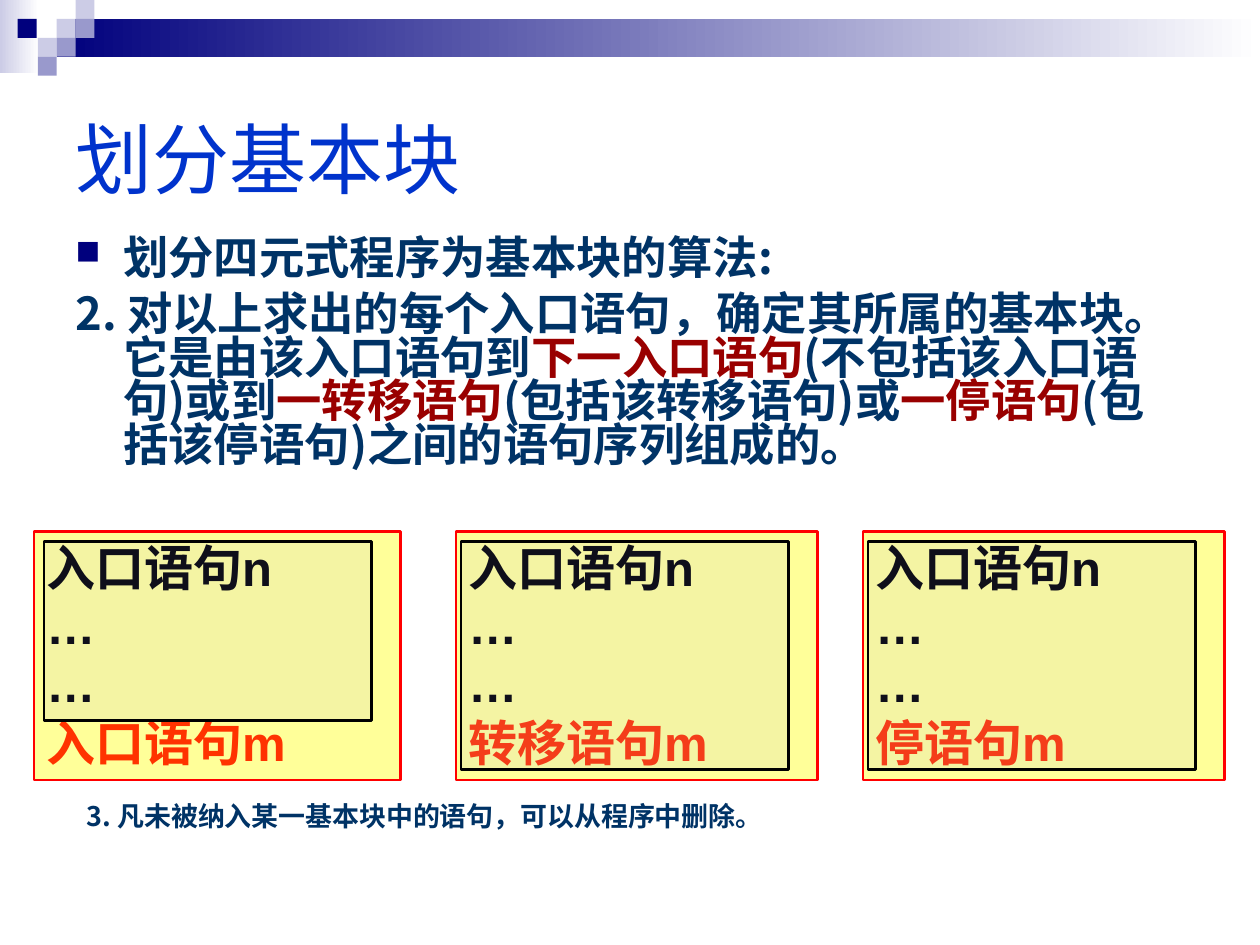
from dataclasses import dataclass

from lxml import etree
from pptx import Presentation, util as u
from pptx.dml.color import RGBColor
from pptx.enum import shapes, text
from pptx.oxml.ns import qn


@dataclass(frozen=True)
class Theme:
    navy: str = "00007D"
    lilac: str = "CCCCE6"
    violet: str = "9999CC"
    white: str = "FFFFFF"
    title: str = "0033CC"
    body: str = "003366"
    key: str = "990000"
    black: str = "000000"
    exit: str = "FF3300"
    panel: str = "FFFF99"
    panel_line: str = "FF0000"
    block: str = "9999FF"
    latin: str = "Arial"
    cjk: str = "Noto Sans CJK SC"
    title_size: float = 44
    body_size: float = 25.9
    code_size: float = 28
    note_size: float = 15.4
    line_ratio: float = 0.96
    code_ratio: float = 1.19


@dataclass(frozen=True)
class Box:
    left: float
    top: float
    width: float
    height: float

    def lengths(self):
        return [u.Inches(v) for v in (self.left, self.top, self.width, self.height)]


@dataclass(frozen=True)
class Panel:
    left: float
    width: float
    block_left: float
    block_height: float
    last_line: str


THEME = Theme()


def color(value: str) -> RGBColor:
    return RGBColor.from_string(value)


def add_rectangle(slide, box: Box, fill: str, line: str = "", fade: str = "", alpha: int = 100):
    shape = slide.shapes.add_shape(shapes.MSO_SHAPE.RECTANGLE, *box.lengths())
    shape.shadow.inherit = False
    if fade:
        shape.fill.gradient()
        shape.fill.gradient_angle = 0
        for stop, value in zip(shape.fill.gradient_stops, (fill, fade)):
            stop.color.rgb = color(value)
    else:
        shape.fill.solid()
        shape.fill.fore_color.rgb = color(fill)
    if alpha < 100:
        rgb = shape.fill._xPr.find(qn("a:solidFill"))[0]
        etree.SubElement(rgb, qn("a:alpha")).set("val", str(alpha * 1000))
    if line:
        shape.line.color.rgb = color(line)
        shape.line.width = u.Pt(1.5)
    else:
        shape.line.fill.background()
    return shape


def add_text_box(slide, box: Box, anchor=text.MSO_ANCHOR.TOP):
    frame = slide.shapes.add_textbox(*box.lengths()).text_frame
    frame.word_wrap = True
    frame.vertical_anchor = anchor
    return frame


def add_run(paragraph, words: str, value: str, size: float, font: str, bold: bool = True) -> None:
    run = paragraph.add_run()
    run.text = words
    run.font.size = u.Pt(size)
    run.font.bold = bold
    run.font.name = font
    run.font.color.rgb = color(value)
    east_asian = etree.SubElement(run._r.get_or_add_rPr(), qn("a:ea"))
    east_asian.set("typeface", THEME.cjk)


def format_item(paragraph, size: float, bullet: bool = False) -> None:
    """Give a list item its hanging indent, line height and square bullet."""
    paragraph.line_spacing = u.Pt(round(size * THEME.line_ratio, 1))
    properties = paragraph._p.get_or_add_pPr()
    properties.set("marL", str(u.Inches(0.38)))
    properties.set("indent", str(-u.Inches(0.38)))
    if bullet:
        tint = etree.SubElement(properties, qn("a:buClr"))
        etree.SubElement(tint, qn("a:srgbClr")).set("val", THEME.navy)
        etree.SubElement(properties, qn("a:buSzPct")).set("val", "75000")
        etree.SubElement(properties, qn("a:buChar")).set("char", "■")
    else:
        etree.SubElement(properties, qn("a:buNone"))


def add_panel(slide, panel: Panel) -> None:
    """Draw a statement panel and the outline of its basic block."""
    outer = Box(panel.left, 4.22, panel.width, 1.97)
    shape = add_rectangle(slide, outer, THEME.panel, THEME.panel_line)
    frame = shape.text_frame
    frame.word_wrap = True
    frame.vertical_anchor = text.MSO_ANCHOR.TOP
    lines = ["入口语句n", "…", "…", panel.last_line]
    for index, words in enumerate(lines):
        paragraph = frame.add_paragraph() if index else frame.paragraphs[0]
        paragraph.alignment = text.PP_ALIGN.LEFT
        paragraph.line_spacing = u.Pt(round(THEME.code_size * THEME.code_ratio, 1))
        value = THEME.exit if index == len(lines) - 1 else THEME.black
        add_run(paragraph, words, value, THEME.code_size, THEME.latin)
    block = Box(panel.block_left, 4.3, 2.6, panel.block_height)
    add_rectangle(slide, block, THEME.block, THEME.black, alpha=10)


def add_header(slide) -> None:
    add_rectangle(slide, Box(0, 0, 0.31, 0.58), THEME.lilac, fade=THEME.white)
    add_rectangle(slide, Box(0.45, 0.15, 9.55, 0.3), THEME.navy, fade=THEME.white)
    side = 0.15
    tiles = [
        (0.45, 0.15, THEME.lilac), (0.6, 0, THEME.lilac), (0.6, 0.15, THEME.violet),
        (0.3, 0.3, THEME.lilac), (0.14, 0.15, THEME.navy),
        (0.45, 0.3, THEME.violet), (0.3, 0.45, THEME.violet),
    ]
    for left, top, fill in tiles:
        add_rectangle(slide, Box(left, top, side, side), fill)


def add_algorithm(slide) -> None:
    frame = add_text_box(slide, Box(0.5, 1.86, 9, 2.36))
    heading = frame.paragraphs[0]
    format_item(heading, THEME.body_size, bullet=True)
    add_run(heading, "划分四元式程序为基本块的算法:", THEME.body, THEME.body_size, THEME.cjk)
    step = frame.add_paragraph()
    format_item(step, THEME.body_size)
    step.space_before = u.Pt(7)
    parts = [
        ("2. 对以上求出的每个入口语句，确定其所属的基本块。它是由该入口语句到", THEME.body),
        ("下一入口语句", THEME.key),
        ("(不包括该入口语句)或到", THEME.body),
        ("一转移语句", THEME.key),
        ("(包括该转移语句)或", THEME.body),
        ("一停语句", THEME.key),
        ("(包括该停语句)之间的语句序列组成的。", THEME.body),
    ]
    for words, value in parts:
        add_run(step, words, value, THEME.body_size, THEME.cjk)


def main() -> None:
    presentation = Presentation()
    presentation.slide_width, presentation.slide_height = u.Inches(10), u.Inches(7.5)
    slide = presentation.slides.add_slide(presentation.slide_layouts[6])

    # Header band and title
    add_header(slide)
    title = add_text_box(slide, Box(0.5, 0.5, 9, 1.5), text.MSO_ANCHOR.MIDDLE)
    add_run(title.paragraphs[0], "划分基本块", THEME.title, THEME.title_size, THEME.latin, bold=False)

    # Algorithm steps
    add_algorithm(slide)

    # Three ways a basic block can end
    for panel in (
        Panel(0.27, 2.91, 0.35, 1.42, "入口语句m"),
        Panel(3.62, 2.87, 3.66, 1.81, "转移语句m"),
        Panel(6.85, 2.87, 6.89, 1.81, "停语句m"),
    ):
        add_panel(slide, panel)

    # Closing step
    note = add_text_box(slide, Box(0.59, 6.35, 9.14, 0.4)).paragraphs[0]
    format_item(note, THEME.note_size)
    add_run(note, "3. 凡未被纳入某一基本块中的语句，可以从程序中删除。",
            THEME.body, THEME.note_size, THEME.cjk)

    presentation.save("out.pptx")


if __name__ == "__main__":
    main()
